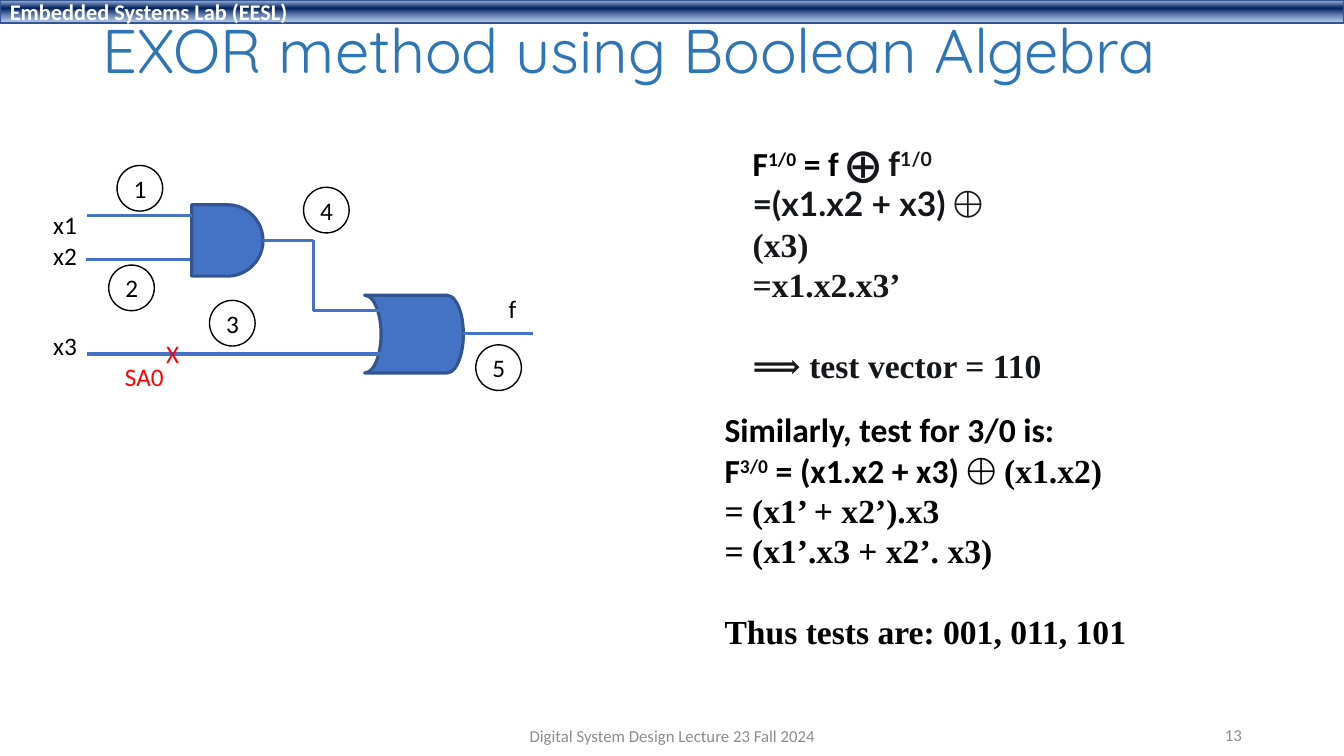
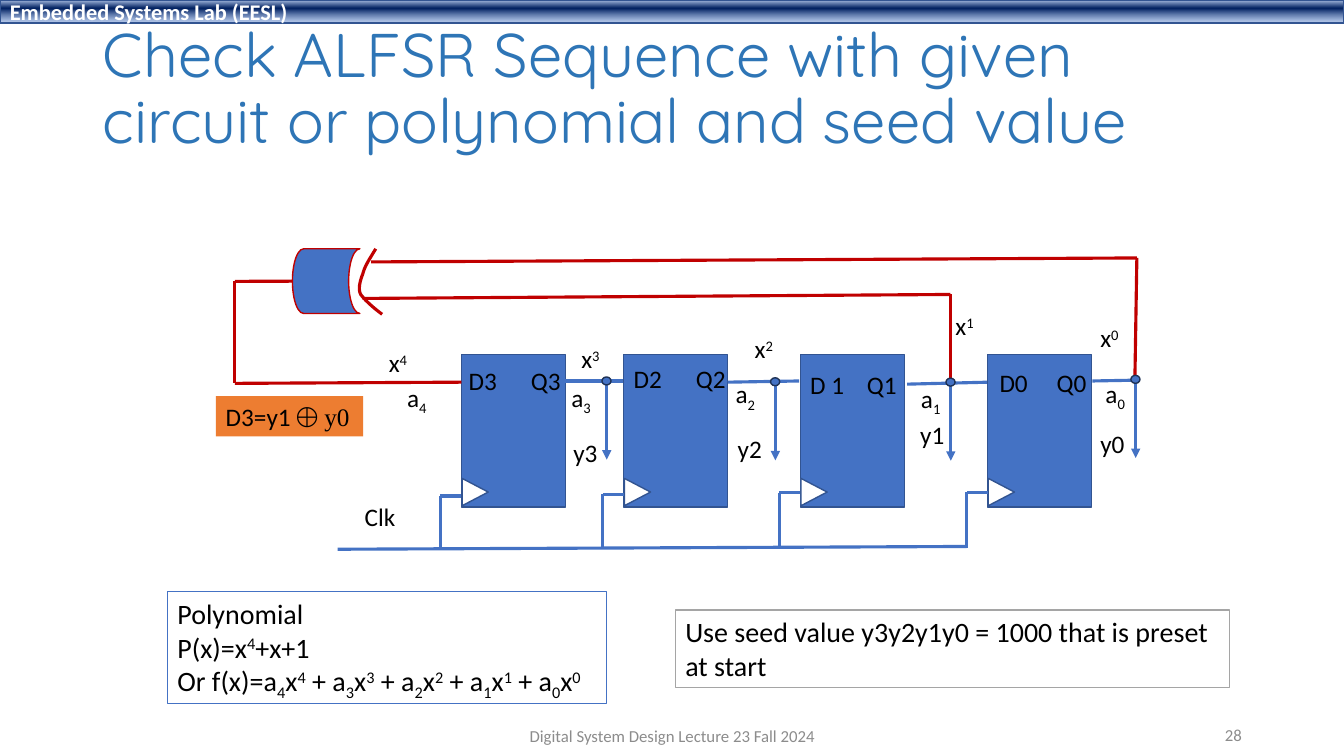
"""Build two digital test slides: EXOR fault detection and an ALFSR circuit."""
import dataclasses
import itertools
from typing import Any, NamedTuple, Optional, Sequence

import pptx
import pptx.dml.color
import pptx.enum.shapes
import pptx.enum.text
import pptx.oxml
import pptx.oxml.ns
import pptx.util

Cm, Pt = pptx.util.Cm, pptx.util.Pt
RGBColor = pptx.dml.color.RGBColor
SHAPE = pptx.enum.shapes.MSO_SHAPE
ALIGN = pptx.enum.text.PP_ALIGN
MIDDLE = pptx.enum.text.MSO_ANCHOR.MIDDLE
TOP = pptx.enum.text.MSO_ANCHOR.TOP

BLACK = RGBColor(0x00, 0x00, 0x00)
WHITE = RGBColor(0xFF, 0xFF, 0xFF)
INK = RGBColor(0x14, 0x17, 0x1A)
GREY = RGBColor(0x8C, 0x8C, 0x8C)
SILVER = RGBColor(0xA5, 0xA5, 0xA5)
BLUE = RGBColor(0x44, 0x72, 0xC4)
EDGE = RGBColor(0x32, 0x54, 0x91)
NAVY = RGBColor(0x1E, 0x32, 0x56)
TITLE = RGBColor(0x2E, 0x75, 0xB6)
RED = RGBColor(0xFF, 0x00, 0x00)
CRIMSON = RGBColor(0xC0, 0x00, 0x00)
ORANGE = RGBColor(0xED, 0x7D, 0x31)
BAND_TOP = RGBColor(0xAB, 0xC0, 0xE4)
BAND_DARK = RGBColor(0x00, 0x20, 0x60)
BAND_LOW = RGBColor(0x7E, 0x9E, 0xD6)

CALIBRI, LATO, TIMES = "Calibri", "Lato", "Times New Roman"
TITLE_FONT = "Quicksand"
BASELINE = {"^": "30000", "_": "-25000"}
WIRE_WIDTH = 2.25
LABEL_SIZE = (1.6, 1.02)
CLOCK_Y = 13.8

Point = tuple[float, float]


class Run(NamedTuple):
    """A stretch of text in one style."""
    text: str
    font: str = CALIBRI
    color: RGBColor = BLACK
    baseline: str = "0"


class Box(NamedTuple):
    """A frame in centimetres."""
    x: float
    y: float
    w: float
    h: float


@dataclasses.dataclass(frozen=True)
class Stage:
    """One flip-flop of the shift register with its output wiring."""
    index: int
    d_name: str
    x: float
    name_at: Point
    q_dx: float
    clock_y: float
    output: tuple[Point, Point]
    tap: Point
    a_at: Point
    x_at: Point
    y_at: Point


STAGES = (
    Stage(3, "D3", 11.63, (11.56, 9.09), 1.57, 12.5, ((14.25, 9.6), (15.72, 9.6)),
          (15.29, 9.6), (14.15, 9.5), (14.4, 8.53), (14.2, 10.9)),
    Stage(2, "D2", 15.72, (15.72, 9.02), 1.57, 12.45, ((18.34, 9.63), (20.14, 9.6)),
          (19.54, 9.62), (18.29, 9.42), (18.77, 8.28), (18.34, 10.8)),
    Stage(1, "D 1", 20.17, (20.17, 9.17), 1.43, 12.42, ((22.86, 9.68), (24.92, 9.63)),
          (23.96, 9.63), (22.96, 9.53), (23.83, 7.7), (22.94, 10.44)),
    Stage(0, "D0", 24.89, (24.94, 9.12), 1.44, 12.4, ((27.53, 9.6), (28.6, 9.58)),
          (28.62, 9.56), (27.61, 9.4), (27.48, 8.0), (27.48, 10.67)),
)


def apply(obj: Any, fmt: dict[str, Any]) -> None:
    """Set each named attribute of an object."""
    for name, value in fmt.items():
        setattr(obj, name, value)


def runs(text: str, font: str = CALIBRI, color: RGBColor = BLACK) -> list[Run]:
    """Split text at bars; parts led by ^ or _ become super- or subscripts."""
    return [Run(part[1:], font, color, BASELINE[part[0]]) if part[0] in BASELINE
            else Run(part, font, color) for part in text.split("|") if part]


def write(tf: Any, paras: Sequence[Sequence[Run]], size: float, bold: bool = False,
          align: Any = ALIGN.LEFT, anchor: Any = TOP, last_gap: float = 0) -> None:
    """Fill a text frame with styled paragraphs."""
    apply(tf, {"word_wrap": True, "vertical_anchor": anchor})
    for i, para in enumerate(paras):
        p = tf.paragraphs[0] if i == 0 else tf.add_paragraph()
        p.alignment = align
        if last_gap and i == len(paras) - 1:
            p.space_before = Pt(last_gap)
        for part in para:
            r = p.add_run()
            r.text = part.text
            apply(r.font, {"name": part.font, "size": Pt(size), "bold": bold})
            r.font.color.rgb = part.color
            if part.baseline != "0":
                r._r.get_or_add_rPr().set("baseline", part.baseline)


def add_text(s: Any, box: Box, paras: Sequence[Sequence[Run]], size: float, **fmt: Any) -> None:
    """Add a text box."""
    write(s.shapes.add_textbox(*map(Cm, box)).text_frame, paras, size, **fmt)


def add_label(s: Any, at: Point, text: str, color: RGBColor = BLACK) -> None:
    """Add a short circuit label."""
    add_text(s, Box(*at, *LABEL_SIZE), [runs(text, color=color)], 18)


def paint(sp: Any, fill: Optional[RGBColor], line: Optional[RGBColor], width: float) -> None:
    """Give a shape its fill and outline, without a shadow."""
    sp.shadow.inherit = False
    for part, color in ((sp.fill, fill), (sp.line.fill, line)):
        if color is None:
            part.background()
        else:
            part.solid()
            part.fore_color.rgb = color
    if line is not None:
        sp.line.width = Pt(width)


def add_shape(s: Any, kind: Any, box: Box, fill: Optional[RGBColor],
              line: Optional[RGBColor] = None, width: float = 1) -> Any:
    """Add a preset shape."""
    sp = s.shapes.add_shape(kind, *map(Cm, box))
    paint(sp, fill, line, width)
    return sp


def add_wire(s: Any, points: Sequence[Point], color: RGBColor = BLUE, arrow: bool = False,
             source: Any = None, site: int = 0) -> None:
    """Draw straight connectors through the points, joined to a source if given."""
    for i, (a, b) in enumerate(itertools.pairwise(points)):
        c = s.shapes.add_connector(pptx.enum.shapes.MSO_CONNECTOR.STRAIGHT, *map(Cm, (*a, *b)))
        c.line.color.rgb = color
        c.line.width = Pt(WIRE_WIDTH)
        if source is not None and i == 0:
            c.begin_connect(source, site)
        sp_pr = c.element.spPr
        if arrow:
            ln = sp_pr.find(pptx.oxml.ns.qn("a:ln"))
            ln.append(pptx.oxml.parse_xml(
                f'<a:tailEnd {pptx.oxml.ns.nsdecls("a")} type="triangle"/>'))
        sp_pr.append(pptx.oxml.parse_xml(f'<a:effectLst {pptx.oxml.ns.nsdecls("a")}/>'))


def bezier(a: Point, b: Point, c: Point, d: Point, steps: int = 10) -> list[Point]:
    """Return points along a cubic curve, leaving out its start."""
    pts = []
    for t in (k / steps for k in range(1, steps + 1)):
        u = 1 - t
        weights = (u ** 3, 3 * u * u * t, 3 * u * t * t, t ** 3)
        pts.append(tuple(sum(w * q[axis] for w, q in zip(weights, (a, b, c, d)))
                         for axis in (0, 1)))
    return pts


def add_curve(s: Any, nodes: Sequence[Point], color: RGBColor) -> None:
    """Draw an open curve through chained cubic segments."""
    pts = [nodes[0]]
    for i in range(0, len(nodes) - 1, 3):
        pts += bezier(*nodes[i:i + 4])
    emu = [(Cm(x), Cm(y)) for x, y in pts]
    fb = s.shapes.build_freeform(*emu[0], scale=1.0)
    fb.add_line_segments(emu[1:], close=False)
    paint(fb.convert_to_shape(), None, color, WIRE_WIDTH)


def add_band(prs: Any, s: Any) -> None:
    """Draw the top band and move it to the slide master."""
    band = add_shape(s, SHAPE.RECTANGLE, Box(0, 0, 33.87, 0.58), BAND_DARK, EDGE)
    write(band.text_frame, [runs("Embedded Systems Lab (EESL)", color=WHITE)], 16,
          bold=True, anchor=MIDDLE)
    stops = "".join(
        f'<a:gs pos="{pos}000"><a:srgbClr val="{color}"><a:alpha val="{alpha}000"/>'
        "</a:srgbClr></a:gs>"
        for pos, color, alpha in ((2, BAND_TOP, 100), (38, BAND_DARK, 100), (93, BAND_LOW, 64)))
    grad = pptx.oxml.parse_xml(
        f'<a:gradFill {pptx.oxml.ns.nsdecls("a")} rotWithShape="1"><a:gsLst>{stops}</a:gsLst>'
        '<a:lin ang="5400000" scaled="0"/></a:gradFill>')
    sp_pr = band.element.spPr
    sp_pr.replace(sp_pr.find(pptx.oxml.ns.qn("a:solidFill")), grad)
    band.element.nvSpPr.cNvPr.set("id", "100")
    prs.slide_master.shapes.element.insert(2, band.element)


def add_slide(prs: Any, title: str, title_height: float, number: int) -> Any:
    """Add a slide with the shared title and footer."""
    s = prs.slides.add_slide(prs.slide_layouts[5])
    sp = s.shapes.title
    apply(sp, dict(zip(("left", "top", "width", "height"),
                       map(Cm, (2.34, 0.38, 29.21, title_height)))))
    write(sp.text_frame, [runs(title, TITLE_FONT, TITLE)], 44, anchor=MIDDLE)
    sp.text_frame.auto_size = pptx.enum.text.MSO_AUTO_SIZE.NONE
    sp.text_frame.paragraphs[0].line_spacing = 0.9
    for box, text, align in (
            (Box(11.23, 18.03, 11.43, 1.02), "Digital System Design Lecture 23 Fall 2024",
             ALIGN.CENTER),
            (Box(23.93, 18.01, 7.62, 1.02), str(number), ALIGN.RIGHT)):
        add_text(s, box, [runs(text, color=GREY)], 12, align=align, anchor=MIDDLE)
    return s


def draw_exor(s: Any) -> None:
    """Draw the gate circuit and the Boolean derivations."""
    and_gate = add_shape(s, SHAPE.FLOWCHART_DELAY, Box(4.83, 5.16, 1.8, 1.8), BLUE, EDGE, 2.25)
    or_gate = add_shape(s, SHAPE.FLOWCHART_STORED_DATA, Box(9.19, 7.44, 2.49, 1.96),
                        BLUE, EDGE, 2.25)
    or_gate.element.spPr.xfrm.flipH = True
    for x, y, end in ((2.18, 5.44, 4.83), (2.16, 6.53, 4.8), (2.18, 8.92, 9.68),
                      (11.68, 8.41, 13.44)):
        add_wire(s, ((x, y), (end, y)))
    add_wire(s, ((6.63, 6.06), (7.9, 6.06), (7.9, 7.83), (9.68, 7.83)),
             source=and_gate, site=3)
    for text, at, color in (("x1", (1.09, 5.16), BLACK), ("x2", (1.09, 5.92), BLACK),
                            ("x3", (1.09, 8.21), BLACK), ("f", (12.57, 7.26), BLACK),
                            ("X", (3.94, 8.41), RED), ("SA0", (2.9, 8.97), RED)):
        add_label(s, at, text, color)
    nets = ((2.95, 4.17), (2.74, 6.68), (5.28, 7.57), (7.65, 4.72), (11.99, 8.69))
    for net, at in enumerate(nets, 1):
        sp = add_shape(s, SHAPE.OVAL, Box(*at, 1.15, 1.15), None, BLACK)
        write(sp.text_frame, [runs(str(net))], 18, align=ALIGN.CENTER, anchor=MIDDLE)
    add_text(s, Box(18.72, 3.48, 8.5, 6.4), [
        runs("F|^1/0| = f ") + runs("⨁ f|^1/0", LATO, INK),
        runs("=(x1.x2 + x3) ", LATO, INK) + runs("⨁", TIMES, INK),
        *(runs(t, TIMES, INK) for t in ("(x3)", "=x1.x2.x3’", "⟹ test vector = 110")),
    ], 24, bold=True, last_gap=29)
    add_text(s, Box(18.01, 10.19, 11.5, 6.4), [
        runs("Similarly, test for 3/0 is:"),
        runs("F|^3/0| = (x1.x2 + x3) ") + runs("⨁ (x1.x2)", TIMES),
        *(runs(t, TIMES) for t in ("= (x1’ + x2’).x3", "= (x1’.x3 + x2’. x3)",
                                   "Thus tests are: 001, 011, 101")),
    ], 24, bold=True, last_gap=29)


def draw_stage(s: Any, st: Stage) -> None:
    """Draw one flip-flop with its clock, output tap and labels."""
    add_shape(s, SHAPE.RECTANGLE, Box(st.x, 8.94, 2.62, 3.84), BLUE, EDGE)
    sp = add_shape(s, SHAPE.ISOSCELES_TRIANGLE, Box(st.x, 12.07, 0.69, 0.66), WHITE, EDGE)
    sp.rotation = 90
    clock_x = st.x - 0.53
    add_wire(s, ((st.x, st.clock_y), (clock_x, st.clock_y), (clock_x, CLOCK_Y)))
    add_wire(s, st.output)
    tap_x, tap_y = st.tap
    add_wire(s, (st.tap, (tap_x, tap_y + 1.98)), arrow=True)
    name_x, name_y = st.name_at
    for at, text in ((st.name_at, st.d_name), ((name_x + st.q_dx, name_y), f"Q{st.index}"),
                     (st.a_at, f"a|_{st.index}"), (st.x_at, f"x|^{st.index}"),
                     (st.y_at, f"y{st.index}")):
        add_label(s, at, text)


def draw_alfsr(s: Any) -> None:
    """Draw the shift register, its feedback gate and the notes."""
    for st in STAGES:
        draw_stage(s, st)
    add_wire(s, ((8.51, 13.84), (24.36, 13.77)))
    gate = add_shape(s, SHAPE.FLOWCHART_STORED_DATA, Box(7.37, 6.27, 1.7, 1.63), BLUE, CRIMSON)
    add_curve(s, ((9.47, 6.27), (9.3, 6.55), (9.19, 6.71), (9.14, 6.91), (9.07, 7.09),
                  (9.02, 7.29), (9.09, 7.42), (9.2, 7.57), (9.4, 7.75), (9.63, 7.92)), CRIMSON)
    add_wire(s, ((28.6, 9.58), (28.65, 6.5), (9.35, 6.6)), CRIMSON)
    add_wire(s, ((23.95, 9.6), (23.95, 7.42), (9.14, 7.52)), CRIMSON)
    add_wire(s, ((7.37, 7.09), (5.92, 7.09), (5.92, 9.66), (11.63, 9.63)), CRIMSON,
             source=gate, site=1)
    for st in STAGES:
        add_shape(s, SHAPE.OVAL, Box(st.tap[0] - 0.12, st.tap[1] - 0.1, 0.23, 0.2), BLUE, NAVY)
    for at, text in (((9.55, 8.64), "x|^4"), ((10.01, 9.5), "a|_4"), ((8.94, 12.52), "Clk")):
        add_label(s, at, text)
    series = " + ".join(f"a|_{k}|x|^{k}|" for k in range(4, -1, -1))
    for box, fill, line, size, paras in (
            (Box(5.44, 9.98, 3.71, 1.02), ORANGE, None, 18,
             [runs("D3=y1 ") + runs("⨁ y0", TIMES)]),
            (Box(4.22, 14.91, 11.07, 2.82), WHITE, BLUE, 20,
             [runs("Polynomial"), runs("P(x)=x|^4|+x+1"), runs(f"Or f(x)={series}")]),
            (Box(17.02, 15.37, 13.97, 1.96), WHITE, SILVER, 20,
             [runs("Use seed value y3y2y1y0 = 1000 that is preset"), runs("at start")])):
        write(add_shape(s, SHAPE.RECTANGLE, box, fill, line).text_frame, paras, size)


def main() -> None:
    """Build and save the presentation."""
    prs = pptx.Presentation()
    apply(prs, {"slide_width": Cm(33.87), "slide_height": Cm(19.05)})
    s = add_slide(prs, "EXOR method using Boolean Algebra", 1.96, 13)
    add_band(prs, s)
    draw_exor(s)
    draw_alfsr(add_slide(
        prs, "Check ALFSR Sequence with given circuit or polynomial and seed value", 3.81, 28))
    prs.save("out.pptx")


if __name__ == "__main__":
    main()
